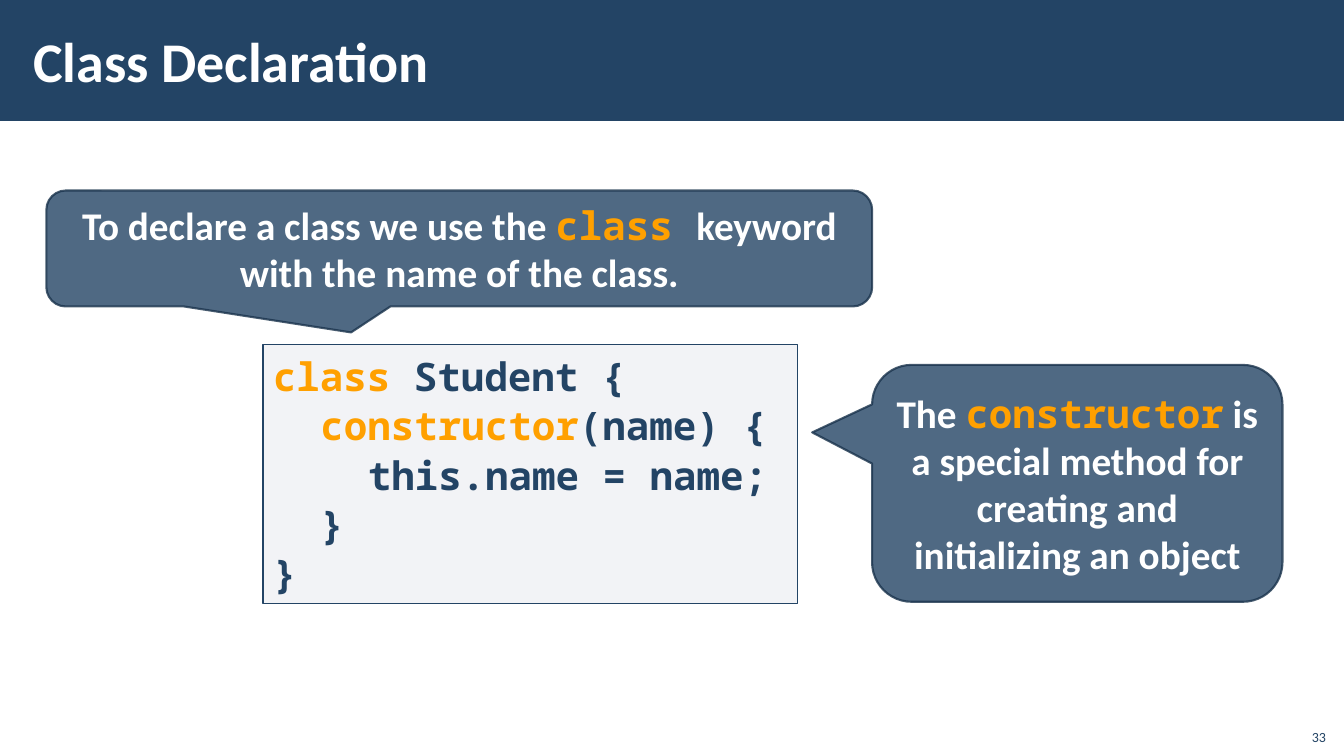
from dataclasses import dataclass

from lxml.etree import SubElement
from pptx import Presentation
from pptx.dml.color import RGBColor
from pptx.enum.shapes import MSO_SHAPE as Shape
from pptx.enum.text import MSO_ANCHOR as Anchor, PP_ALIGN as Align
from pptx.oxml.ns import qn
from pptx.util import Inches, Pt


@dataclass(frozen=True)
class Theme:
    navy: str = "234465"
    edge: str = "1A334C"
    gray: str = "ADB4C3"
    white: str = "FFFFFF"
    orange: str = "FFA000"
    body_font: str = "Calibri"
    code_font: str = "Noto Sans Mono"
    title_size: int = 40
    body_size: int = 28
    number_size: int = 10
    code_indent: float = 0.47


def set_all(target, values):
    for name, value in values.items():
        setattr(target, name, value)


def set_alpha(fill_parent, percent):
    """Set the opacity of the solid fill directly under an spPr or ln element."""
    color = fill_parent.find(qn("a:solidFill")).find(qn("a:srgbClr"))
    SubElement(color, qn("a:alpha"), val=str(percent * 1000))


class SlideBuilder:
    def __init__(self, deck, theme):
        self.theme = theme
        self.page = deck.slides.add_slide(deck.slide_layouts[5])

    def style(self, size, color, font=None, bold=True):
        return {"size": Pt(size), "name": font or self.theme.body_font,
                "bold": bold, "color": color}

    def body(self):
        return self.style(self.theme.body_size, self.theme.white)

    def code(self, color):
        return self.style(self.theme.body_size, color, self.theme.code_font)

    def add_spans(self, para, spans, **layout):
        set_all(para, layout)
        for text, style in spans:
            span = para.add_run()
            span.text = text
            set_all(span.font, {k: v for k, v in style.items() if k != "color"})
            span.font.color.rgb = RGBColor.from_string(style["color"])

    def box(self, kind, at, fill, alpha=100, line=None, weight=1):
        box = self.page.shapes.add_shape(kind, *map(Inches, at))
        box.shadow.inherit = False
        box.fill.solid()
        box.fill.fore_color.rgb = RGBColor.from_string(fill)
        set_alpha(box._element.spPr, alpha)
        if line:
            box.line.color.rgb = RGBColor.from_string(line)
            box.line.width = Pt(weight)
        else:
            box.line.fill.background()
        box.text_frame.word_wrap = True
        return box

    def title(self, text, at, band):
        title = self.page.shapes.title
        band_box = self.box(Shape.RECTANGLE, band, self.theme.navy)
        title._element.addprevious(band_box._element)
        set_all(title, dict(zip(("left", "top", "width", "height"), map(Inches, at))))
        set_all(title.text_frame, {
            "vertical_anchor": Anchor.MIDDLE, "word_wrap": True,
            "margin_left": Inches(0.12), "margin_right": Inches(0.12),
            "margin_top": Inches(0.04), "margin_bottom": Inches(0.04)})
        self.add_spans(title.text_frame.paragraphs[0],
                       [(text, self.style(self.theme.title_size, self.theme.white))],
                       alignment=Align.LEFT)

    def number(self, text, at):
        box = self.page.shapes.add_textbox(*map(Inches, at))
        set_all(box.text_frame, {"word_wrap": True, "vertical_anchor": Anchor.BOTTOM})
        style = self.style(self.theme.number_size, self.theme.navy, bold=False)
        self.add_spans(box.text_frame.paragraphs[0], [(text, style)],
                       alignment=Align.RIGHT)

    def code_block(self, lines, at):
        """Each line is its indent level followed by its styled spans."""
        box = self.box(Shape.RECTANGLE, at, self.theme.gray, 15, self.theme.navy)
        frame = box.text_frame
        frame.vertical_anchor = Anchor.TOP
        for index, (level, *spans) in enumerate(lines):
            para = frame.add_paragraph() if index else frame.paragraphs[0]
            self.add_spans(para, spans, alignment=Align.LEFT, line_spacing=1.05)
            indent = Inches(level * self.theme.code_indent)
            para._p.get_or_add_pPr().set("marL", str(int(indent)))

    def callout(self, spans, at, tip):
        box = self.box(Shape.ROUNDED_RECTANGULAR_CALLOUT, at, self.theme.navy, 80,
                       self.theme.edge, 1.5)
        set_alpha(box._element.spPr.find(qn("a:ln")), 80)
        for index, value in enumerate((*tip, 0.167)):
            box.adjustments[index] = value
        box.text_frame.vertical_anchor = Anchor.MIDDLE
        self.add_spans(box.text_frame.paragraphs[0], spans, alignment=Align.CENTER)


def main():
    deck = Presentation()
    set_all(deck, {"slide_width": Inches(13.33), "slide_height": Inches(7.5)})
    theme = Theme()
    slide = SlideBuilder(deck, theme)
    body, plain, keyword = slide.body(), slide.code(theme.navy), slide.code(theme.orange)

    slide.title("Class Declaration", (0.21, 0.11, 10.63, 0.97), (0, 0, 13.33, 1.2))
    slide.number("33", (12.85, 7.12, 0.4, 0.32))
    slide.code_block([
        (0, ("class", keyword), (" Student {", plain)),
        (1, ("constructor", keyword), ("(name) {", plain)),
        (2, ("this.name = name;", plain)),
        (1, ("}", plain)),
        (0, ("}", plain)),
    ], (2.61, 3.42, 5.3, 2.57))
    slide.callout([
        ("To declare a class we use the ", body), ("class ", keyword),
        ("keyword with the name of the class.", body),
    ], (0.46, 1.89, 8.19, 1.15), (-0.131, 0.724))
    slide.callout([
        ("The ", body), ("constructor", keyword),
        (" is a special method for creating and initializing an object", body),
    ], (8.65, 3.62, 4.07, 2.35), (-0.646, -0.215))
    deck.save("out.pptx")


if __name__ == "__main__":
    main()
